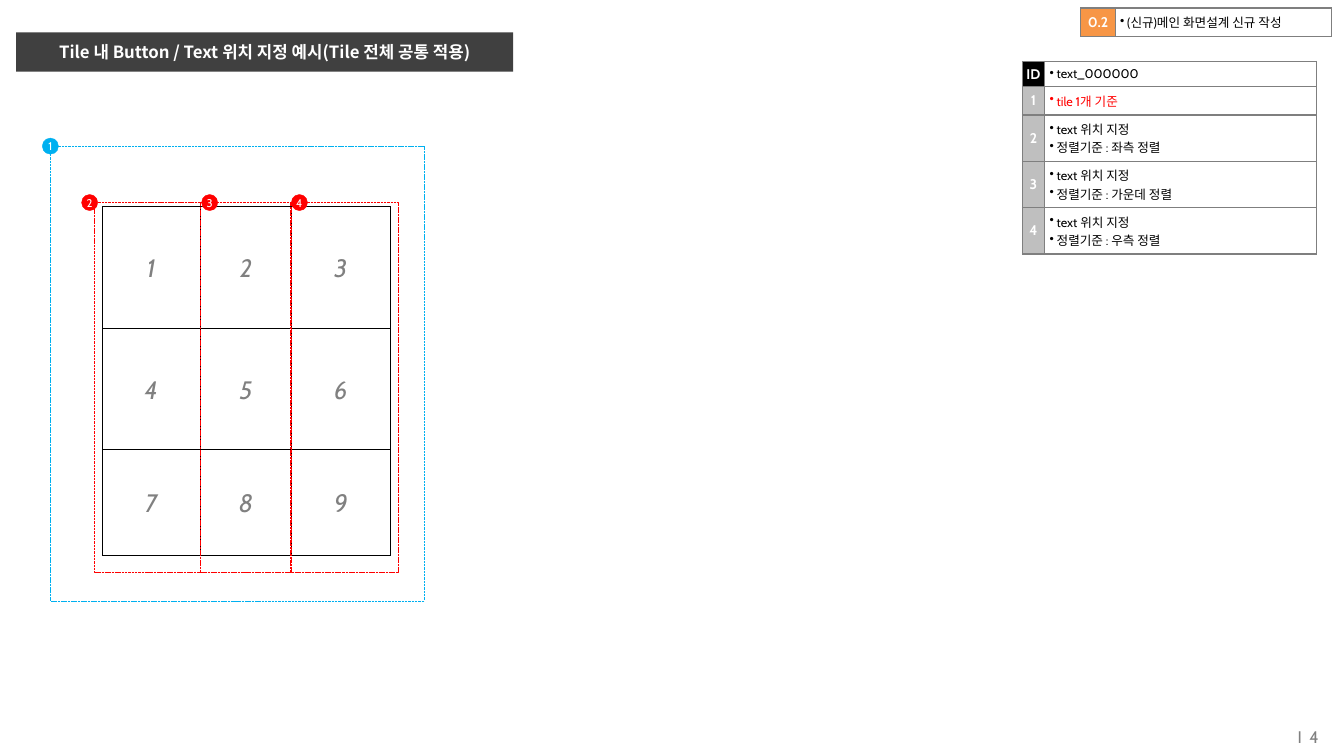
"""Build the tile layout guide slide with its numbered areas and legend tables."""
from itertools import product

from lxml.etree import SubElement
from pptx import Presentation
from pptx.dml.color import RGBColor
from pptx.enum.dml import MSO_LINE_DASH_STYLE as Dash
from pptx.enum.shapes import MSO_SHAPE as Shape
from pptx.enum.text import MSO_ANCHOR as Anchor, PP_ALIGN as Align
from pptx.oxml.ns import qn
from pptx.util import Pt

PX = 9144
COLORS = {
    "black": "000000", "white": "FFFFFF", "bar": "404040", "gray": "808080",
    "border": "7F7F7F", "id": "BFBFBF", "red": "FF0000", "blue": "00B0F0",
    "orange": "F79646",
}
LATIN, KOREAN = "Cabin", "Noto Sans CJK KR"
SIDES = ("left", "top", "right", "bottom")
BULLET_INDENT = 7


def color(name):
    return RGBColor.from_string(COLORS[name])


class TileGuide:
    """Hold the slide and the style of its elements."""

    def __init__(self, deck):
        self.page = deck.slides.add_slide(deck.slide_layouts[5])

    def fill_text(self, frame, lines, ink, align=Align.CENTER, face=LATIN,
                  bullet=False, **font):
        for index, line in enumerate(lines):
            para = frame.add_paragraph() if index else frame.paragraphs[0]
            para.alignment = align
            if bullet:
                props = para._p.get_or_add_pPr()
                props.set("marL", str(BULLET_INDENT * PX))
                props.set("indent", str(-BULLET_INDENT * PX))
                SubElement(props, qn("a:buChar")).set("char", "•")
            span = para.add_run()
            span.text = line
            values = {"name": face, "bold": False, "italic": False, **font}
            for key, value in values.items():
                setattr(span.font, key, value)
            span.font.color.rgb = color(ink)
            SubElement(span._r.get_or_add_rPr(), qn("a:ea")).set("typeface", KOREAN)

    def inset(self, holder, margin):
        for side in SIDES:
            setattr(holder, f"margin_{side}", margin * PX)

    def title(self, text, left, top, width, height):
        bar = self.page.shapes.title
        places = {"left": left, "top": top, "width": width, "height": height}
        for key, value in places.items():
            setattr(bar, key, value * PX)
        bar.fill.solid()
        bar.fill.fore_color.rgb = color("bar")
        bar.text_frame.vertical_anchor = Anchor.MIDDLE
        self.fill_text(bar.text_frame, [text], "white", face=KOREAN, size=Pt(12), bold=True)

    def shape(self, kind, box, line, fill=None, dash=None):
        shape = self.page.shapes.add_shape(kind, *(value * PX for value in box))
        shape.shadow.inherit = False
        if fill:
            shape.fill.solid()
            shape.fill.fore_color.rgb = color(fill)
        else:
            shape.fill.background()
        shape.line.color.rgb = color(line)
        shape.line.width = Pt(0.25)
        if dash:
            shape.line.dash_style = dash
        return shape

    def label(self, shape, text, ink, margin, **font):
        frame = shape.text_frame
        frame.vertical_anchor = Anchor.MIDDLE
        self.inset(frame, margin)
        self.fill_text(frame, [text], ink, **font)

    def tile(self, number, *box):
        tile = self.shape(Shape.RECTANGLE, box, "black")
        self.label(tile, str(number), "gray", 4, size=Pt(18), italic=True)

    def area(self, number, ink, box, badge_left):
        self.shape(Shape.RECTANGLE, box, ink, dash=Dash.SQUARE_DOT)
        badge = self.shape(Shape.OVAL, (badge_left, box[1] - 8, 16, 16), ink, fill=ink)
        self.label(badge, str(number), "white", 0, size=Pt(8))

    def text(self, text, left, top, width, height):
        box = self.page.shapes.add_textbox(left * PX, top * PX, width * PX, height * PX)
        box.text_frame.word_wrap = True
        self.label(box, text, "gray", 0, size=Pt(12), align=Align.RIGHT)

    def cell(self, cell, lines, ink, fill=None):
        props = cell._tc.get_or_add_tcPr()
        for side in ("lnL", "lnR", "lnT", "lnB"):
            edge = SubElement(props, qn(f"a:{side}"), w=str(Pt(1)))
            paint = SubElement(edge, qn("a:solidFill"))
            SubElement(paint, qn("a:srgbClr"), val=COLORS["border"])
        if fill:
            cell.fill.solid()
            cell.fill.fore_color.rgb = color(fill)
            cell.vertical_anchor = Anchor.MIDDLE
            self.inset(cell, 0)
            self.fill_text(cell.text_frame, lines, ink, size=Pt(10), bold=True)
        else:
            cell.fill.background()
            self.inset(cell, 5)
            self.fill_text(cell.text_frame, lines, ink, Align.LEFT, bullet=True, size=Pt(9))

    def table(self, left, top, widths, rows):
        heights = [row[0] for row in rows]
        frame = self.page.shapes.add_table(
            len(rows), len(widths), left * PX, top * PX,
            sum(widths) * PX, sum(heights) * PX)
        table = frame.table
        table.first_row = table.horz_banding = False
        for column, width in zip(table.columns, widths):
            column.width = width * PX
        for index, (height, key, fill, ink, lines) in enumerate(rows):
            table.rows[index].height = height * PX
            self.cell(table.cell(index, 0), [key], "white", fill)
            self.cell(table.cell(index, 1), lines, ink)


def main():
    deck = Presentation()
    deck.slide_width, deck.slide_height = 1333 * PX, 750 * PX
    guide = TileGuide(deck)
    guide.title("Tile 내 Button / Text 위치 지정 예시(Tile 전체 공통 적용)", 16, 32, 493, 39)
    guide.text("I  4", 1115, 711, 193, 39)

    columns = [(101, 98), (199, 90), (289, 98)]
    bands = [(205, 121), (326, 120), (446, 105)]
    guide.shape(Shape.RECTANGLE, (101, 205, 286, 346), "black")
    for number, (band, column) in enumerate(product(bands, columns), 1):
        guide.tile(number, column[0], band[0], column[1], band[1])

    guide.area(1, "blue", (50, 145, 371, 451), 42)
    strips = [(93, 106, 81), (199, 90, 200), (288, 107, 289)]
    for number, (left, width, badge_left) in enumerate(strips, 2):
        guide.area(number, "red", (left, 201, width, 367), badge_left)

    legend = [
        (25, "ID", "black", "black", ["text_000000"]),
        (28, "1", "id", "red", ["tile 1개 기준"]),
    ]
    for number, side in enumerate(("좌측", "가운데", "우측"), 2):
        lines = ["text 위치 지정", f"정렬기준 : {side} 정렬"]
        legend.append((46, str(number), "id", "black", lines))
    guide.table(1014, 61, [22, 270], legend)
    change = (28, "0.2", "orange", "black", ["(신규)메인 화면설계 신규 작성"])
    guide.table(1072, 8, [34, 215], [change])
    deck.save("out.pptx")


if __name__ == "__main__":
    main()
